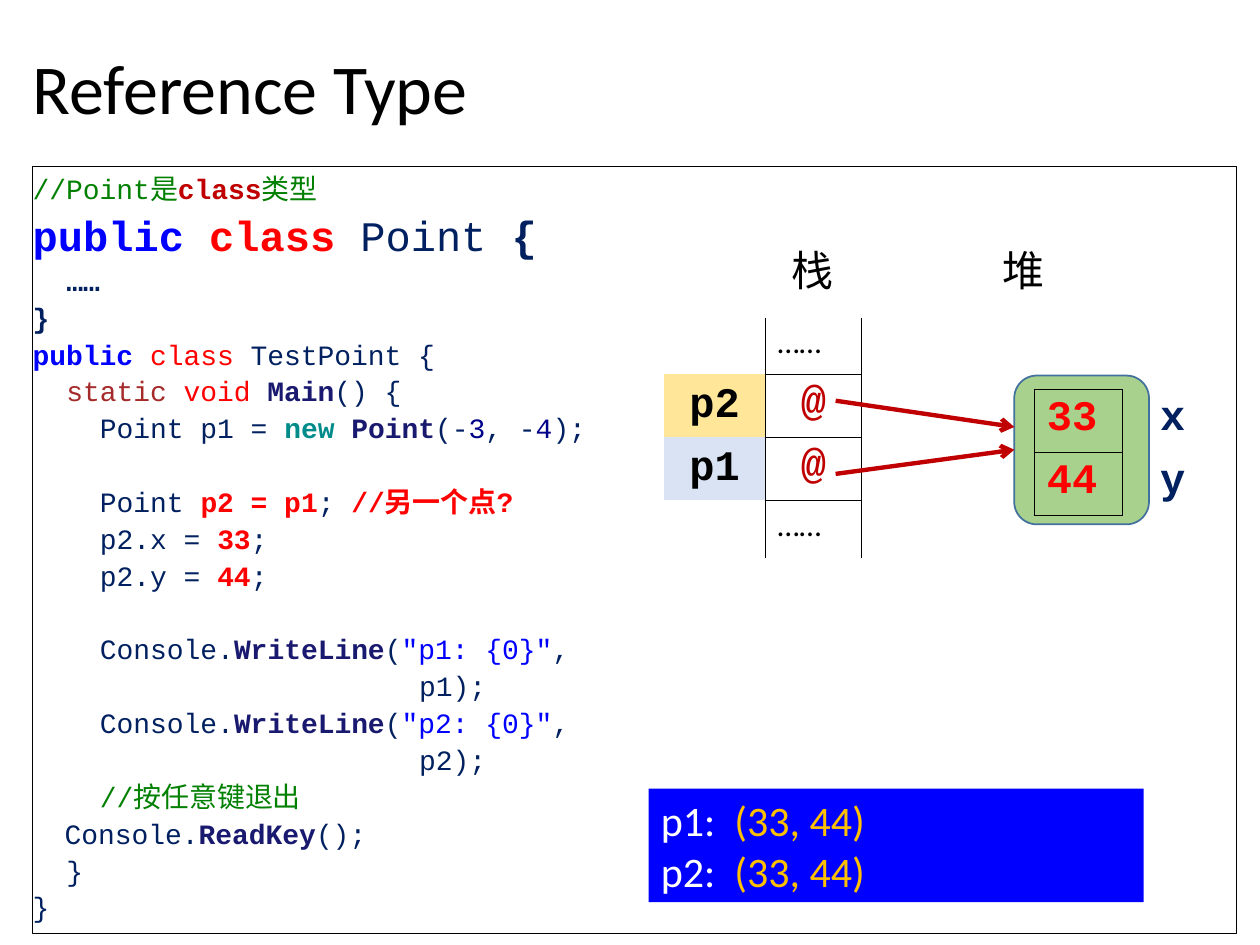
from lxml.etree import SubElement
from pptx import Presentation
from pptx.dml.color import RGBColor as RGB
from pptx.enum.shapes import MSO_CONNECTOR as CONN, MSO_SHAPE as SHAPE
from pptx.enum.text import MSO_ANCHOR as ANCHOR, PP_ALIGN as ALIGN
from pptx.oxml.ns import qn
from pptx.util import Pt

BLACK, WHITE = RGB(0, 0, 0), RGB(255, 255, 255)
RED, DARK_RED, BROWN = RGB(255, 0, 0), RGB(0xC0, 0, 0), RGB(0xA5, 0x2A, 0x2A)
BLUE, NAVY, DIGIT = RGB(0, 0, 255), RGB(0, 0x20, 0x60), RGB(0, 0, 0x8B)
METHOD, TEAL, GREEN = RGB(0x19, 0x19, 0x70), RGB(0, 0x8B, 0x8B), RGB(0, 0x80, 0)
GOLD, SAND, PALE_BLUE = RGB(0xFF, 0xC0, 0), RGB(0xFF, 0xE6, 0x99), RGB(0xDA, 0xE3, 0xF3)
LEAF, STEEL = RGB(0xA9, 0xD1, 0x8E), RGB(0x41, 0x71, 0x9C)

SANS, MONO, CJK = "Calibri", "Courier New", "Noto Sans CJK SC"
CODE_SIZE = 16
CHAR_WIDTH = 0.6      # monospaced advance per point of type
LINE_PITCH = 1.317    # line distance per point of type
ARGUMENT = 23         # column of the wrapped WriteLine argument


def add_run(p, text, size=24, font=SANS, color=BLACK, bold=False):
    r = p.add_run()
    r.text = text
    f = r.font
    f.size, f.name, f.bold = Pt(size), font, bold
    f.color.rgb = color
    SubElement(r._r.get_or_add_rPr(), qn("a:ea"), typeface=CJK)


def write_line(name):
    return [("Console.", NAVY), ("WriteLine", METHOD, True), ("(", NAVY),
            (f'"{name}: {{0}}"', BLUE), (",", NAVY)]


def assign(field, value):
    return [(f"p2.{field} = ", NAVY), (value, RED, True), (";", NAVY)]


# Each line: indent in characters, blank lines before, type size, runs
CODE = [
    (0, 0, 16, [("//Point是", GREEN), ("class", DARK_RED, True), ("类型", GREEN)]),
    (0, 0, 24, [("public ", BLUE, True), ("class", RED, True), (" Point ", NAVY),
                ("{", NAVY, True)]),
    (2, 0, 16, [("……", NAVY, True)]),
    (0, 0, 16, [("}", NAVY, True)]),
    (0, 0, 16, [("public ", BLUE, True), ("class", RED), (" TestPoint {", NAVY)]),
    (2, 0, 16, [("static ", BROWN), ("void ", RED), ("Main", METHOD, True), ("() {", NAVY)]),
    (4, 0, 16, [("Point p1 = ", NAVY), ("new ", TEAL, True), ("Point", METHOD, True),
                ("(-", NAVY), ("3", DIGIT), (", -", NAVY), ("4", DIGIT), (");", NAVY)]),
    (4, 1, 16, [("Point ", NAVY), ("p2 = p1", RED, True), ("; ", NAVY),
                ("//另一个点?", RED, True)]),
    (4, 0, 16, assign("x", "33")),
    (4, 0, 16, assign("y", "44")),
    (4, 1, 16, write_line("p1")),
    (ARGUMENT, 0, 16, [("p1);", NAVY)]),
    (4, 0, 16, write_line("p2")),
    (ARGUMENT, 0, 16, [("p2);", NAVY)]),
    (4, 0, 16, [("//按任意键退出", GREEN)]),
    (1.9, 0, 16, [("Console.", NAVY), ("ReadKey", METHOD, True), ("();", NAVY)]),
    (2, 0, 16, [("}", NAVY)]),
    (0, 0, 16, [("}", NAVY)]),
]


class SlideBuilder:
    def __init__(self, s, line_color=BLACK, border=0.45):
        self.s, self.line_color, self.border = s, line_color, border

    def textbox(self, x, y, w, h, anchor=ANCHOR.TOP):
        tf = self.s.shapes.add_textbox(Pt(x), Pt(y), Pt(w), Pt(h)).text_frame
        tf.word_wrap, tf.vertical_anchor = True, anchor
        return tf

    def shape(self, kind, x, y, w, h, fill=None, line=None, width=1):
        sp = self.s.shapes.add_shape(kind, Pt(x), Pt(y), Pt(w), Pt(h))
        sp.shadow.inherit = False
        for part, color in ((sp.fill, fill), (sp.line.fill, line)):
            if color is None:
                part.background()
            else:
                part.solid()
                part.fore_color.rgb = color
        if line is not None:
            sp.line.width = Pt(width)
        tf = sp.text_frame
        tf.word_wrap, tf.vertical_anchor = True, ANCHOR.TOP
        return tf

    def code(self, tf, lines):
        tf.margin_left = tf.margin_right = tf.margin_bottom = 0
        tf.margin_top = Pt(1)
        for i, (indent, blanks, size, runs) in enumerate(lines):
            p = tf.paragraphs[0] if i == 0 else tf.add_paragraph()
            p.alignment = ALIGN.LEFT
            p.line_spacing = Pt(round(size * LINE_PITCH, 2))
            p.space_before = Pt(round(blanks * CODE_SIZE * LINE_PITCH, 2))
            p._p.get_or_add_pPr().set("marL", str(Pt(indent * CODE_SIZE * CHAR_WIDTH)))
            for text, color, *bold in runs:
                add_run(p, text, size=size, font=MONO, color=color, bold=bool(bold))

    def table(self, x, y, cols, rows):
        tbl = self.s.shapes.add_table(len(rows), len(cols), Pt(x), Pt(y),
                                      Pt(sum(cols)), Pt(sum(rows))).table
        tbl.first_row = tbl.horz_banding = False
        for col, w in zip(tbl.columns, cols):
            col.width = Pt(w)
        for row, h in zip(tbl.rows, rows):
            row.height = Pt(h)
        return tbl

    def cell(self, cell, text="", sides="", fill=None, align=ALIGN.LEFT,
             anchor=ANCHOR.TOP, margin=7.2, **fmt):
        """Fill one cell; sides names its drawn borders by L, R, T and B."""
        tc_pr = cell._tc.get_or_add_tcPr()
        for side in "LRTB":
            ln = SubElement(tc_pr, qn(f"a:ln{side}"), w=str(Pt(self.border)))
            if side in sides:
                solid = SubElement(ln, qn("a:solidFill"))
                SubElement(solid, qn("a:srgbClr"), val=str(self.line_color))
            else:
                SubElement(ln, qn("a:noFill"))
        if fill is None:
            cell.fill.background()
        else:
            cell.fill.solid()
            cell.fill.fore_color.rgb = fill
        cell.vertical_anchor, cell.margin_left = anchor, Pt(margin)
        p = cell.text_frame.paragraphs[0]
        p.alignment = align
        if text:
            add_run(p, text, **fmt)

    def arrow(self, x1, y1, x2, y2, color=DARK_RED, width=2.5):
        c = self.s.shapes.add_connector(CONN.STRAIGHT, Pt(x1), Pt(y1), Pt(x2), Pt(y2))
        c.line.color.rgb, c.line.width = color, Pt(width)
        SubElement(c.line._get_or_add_ln(), qn("a:tailEnd"), type="arrow")
        SubElement(c._element.spPr, qn("a:effectLst"))


def main():
    prs = Presentation()
    prs.slide_width, prs.slide_height = Pt(720), Pt(540)
    b = SlideBuilder(prs.slides.add_slide(prs.slide_layouts[6]))

    title = b.textbox(11.8, 9.4, 701, 86.4, ANCHOR.MIDDLE).paragraphs[0]
    title.line_spacing = 0.9
    add_run(title, "Reference Type", size=40)

    b.code(b.shape(SHAPE.RECTANGLE, 18.7, 95, 688, 438.5, line=BLACK, width=0.75), CODE)

    memory = b.textbox(445, 136, 218, 36).paragraphs[0]
    tabs = SubElement(memory._p.get_or_add_pPr(), qn("a:tabLst"))
    SubElement(tabs, qn("a:tab"), pos=str(Pt(120.8)), algn="l")
    add_run(memory, "栈\t堆", font=CJK)

    stack = b.table(379.4, 181.5, [57.8, 55.3], [32.4, 36, 36, 33])
    for row, sides in ((0, "LRB"), (3, "LRT")):
        b.cell(stack.cell(row, 0))
        b.cell(stack.cell(row, 1), "……", sides, size=18)
    for row, name, fill in ((1, "p2", SAND), (2, "p1", PALE_BLUE)):
        b.cell(stack.cell(row, 0), name, "R", fill, ALIGN.CENTER, ANCHOR.MIDDLE,
               font=MONO, bold=True)
        b.cell(stack.cell(row, 1), "@", "LRTB", align=ALIGN.CENTER,
               font=MONO, color=DARK_RED, bold=True)

    b.shape(SHAPE.ROUNDED_RECTANGLE, 579.6, 214.6, 77, 85, LEAF, STEEL)
    heap = b.table(591, 222.5, [50.4, 43.6], [36, 36])
    for row, (value, field) in enumerate((("33", "x"), ("44", "y"))):
        b.cell(heap.cell(row, 0), value, "LRTB", font=MONO, color=RED, bold=True)
        b.cell(heap.cell(row, 1), field, "L", margin=21.6, font=MONO, color=NAVY, bold=True)

    for start, end in ((270.8, 257), (229, 244)):
        b.arrow(477.5, start, 579.6, end)

    output = b.shape(SHAPE.RECTANGLE, 370.6, 450.6, 283, 65, fill=BLUE)
    for p, name in zip((output.paragraphs[0], output.add_paragraph()), ("p1", "p2")):
        p.alignment = ALIGN.LEFT
        add_run(p, f"{name}:  ", color=WHITE)
        add_run(p, "(33, 44)", color=GOLD)

    prs.save("out.pptx")


if __name__ == "__main__":
    main()
